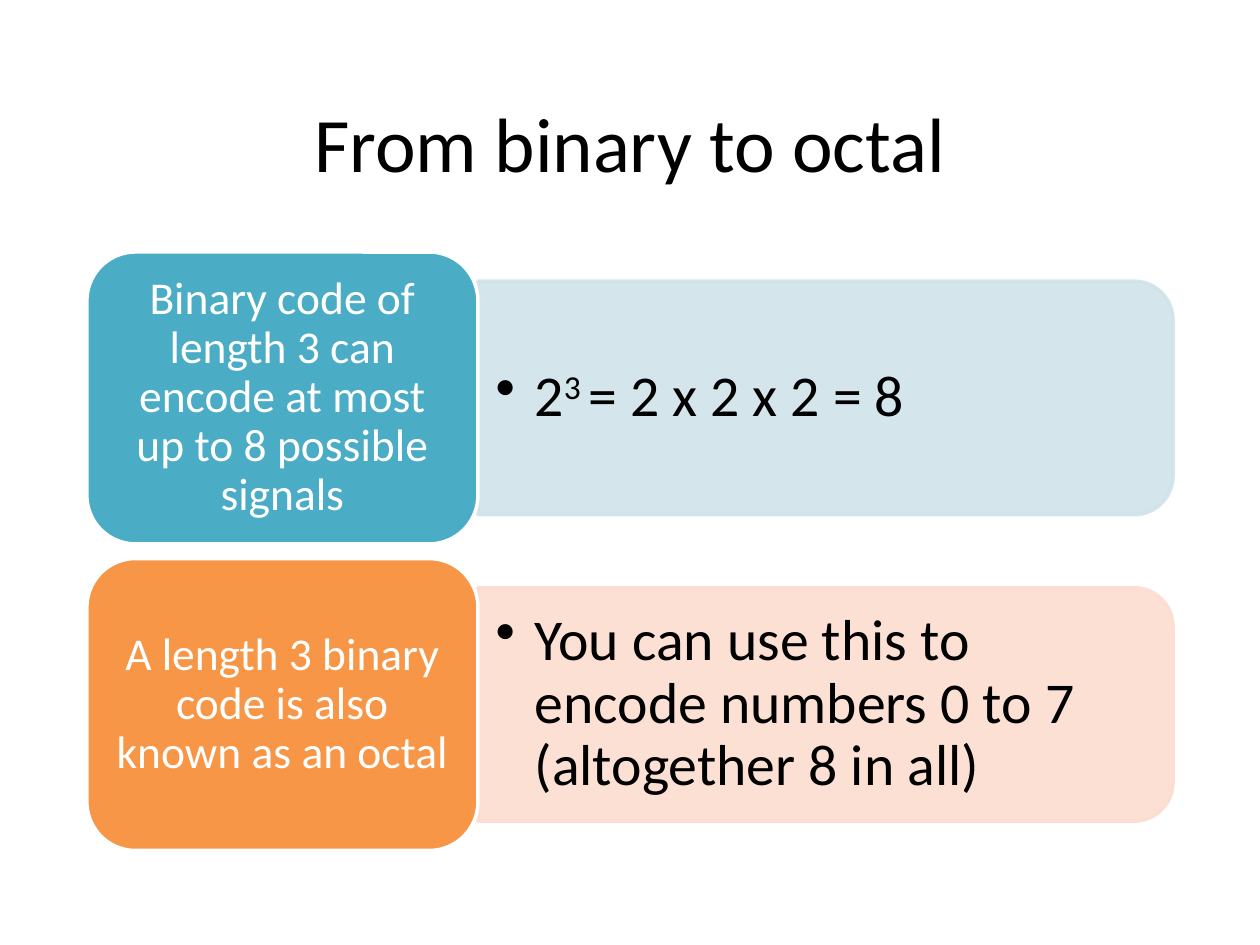
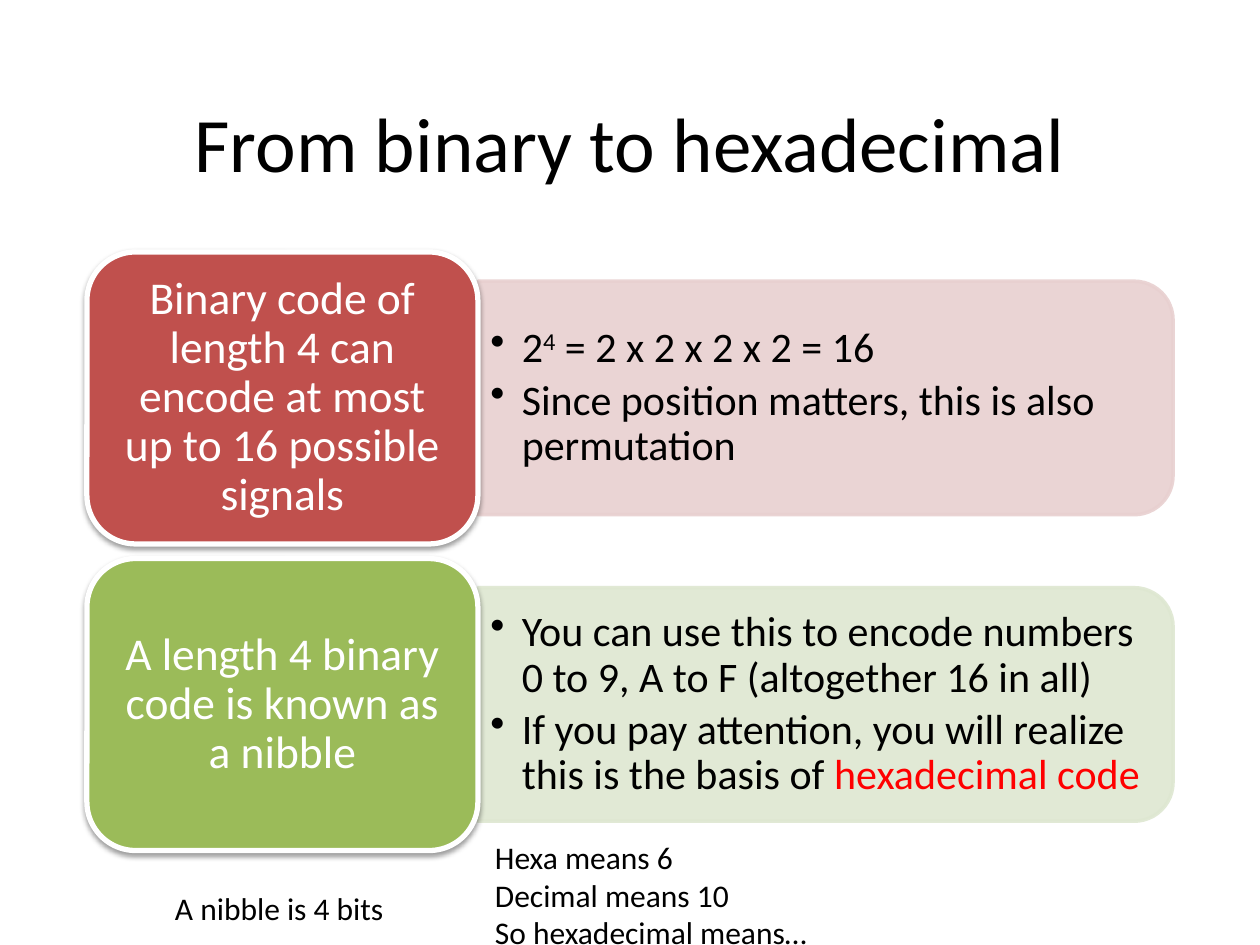
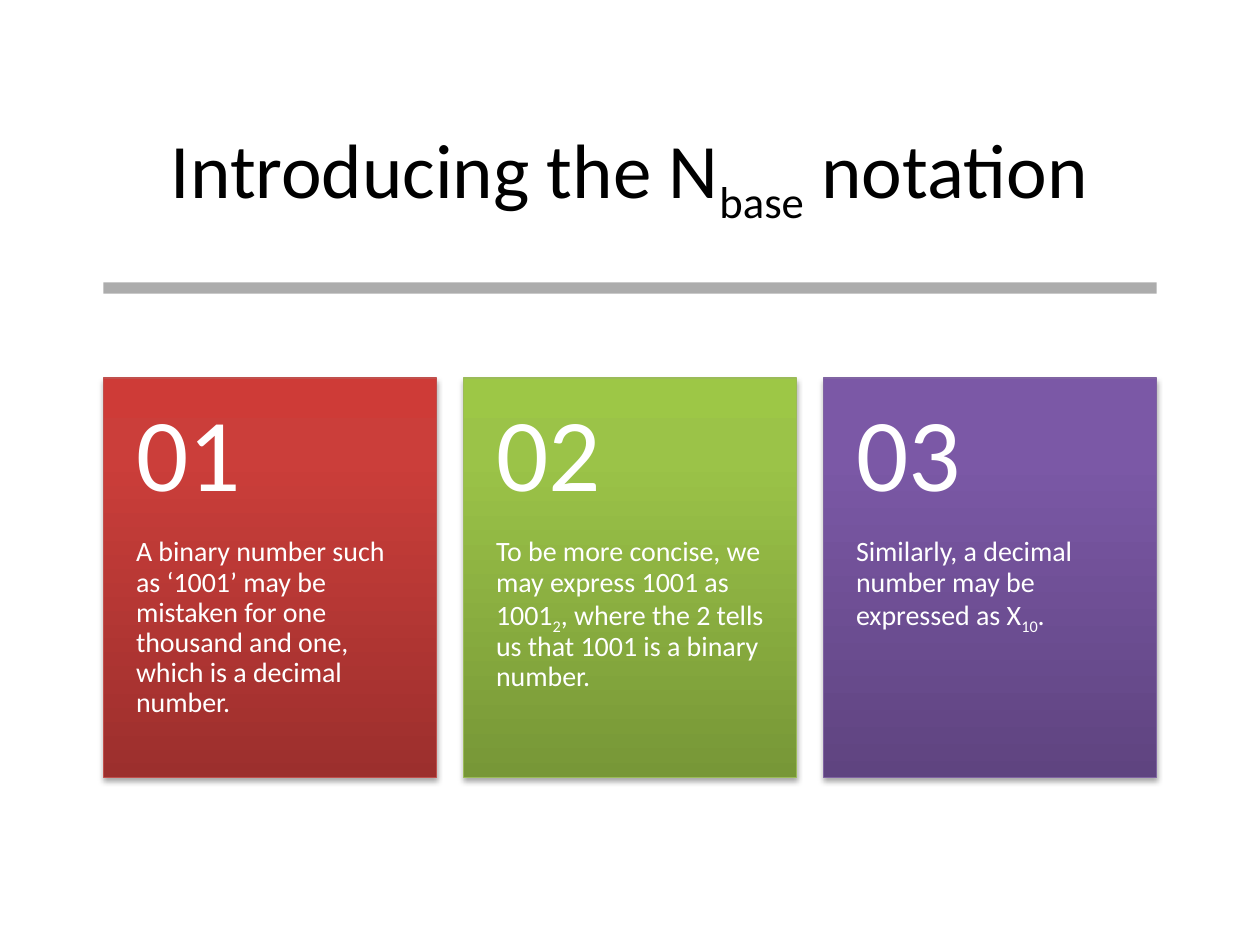
from copy import deepcopy
from dataclasses import dataclass

from lxml.etree import SubElement
from pptx import Presentation
from pptx.dml.color import RGBColor
from pptx.enum.shapes import MSO_SHAPE
from pptx.enum.text import MSO_ANCHOR, PP_ALIGN
from pptx.oxml.ns import qn
from pptx.util import Inches, Pt

FONT = "Calibri"
BLACK = RGBColor(0x00, 0x00, 0x00)
WHITE = RGBColor(0xFF, 0xFF, 0xFF)
GRAY = RGBColor(0x80, 0x80, 0x80)
BRIGHT_RED = RGBColor(0xFF, 0x00, 0x00)
AQUA = RGBColor(0x4B, 0xAC, 0xC6)
PALE_AQUA = RGBColor(0xD0, 0xE3, 0xEA)
ORANGE = RGBColor(0xF7, 0x96, 0x46)
PALE_ORANGE = RGBColor(0xFC, 0xDD, 0xCF)
RED = RGBColor(0xC0, 0x50, 0x4D)
PALE_RED = RGBColor(0xE8, 0xD0, 0xD0)
GREEN = RGBColor(0x9B, 0xBB, 0x59)
PALE_GREEN = RGBColor(0xDE, 0xE7, 0xD1)
PURPLE = RGBColor(0x80, 0x64, 0xA2)
RED_SHADES = (RGBColor(0x9C, 0x2F, 0x2D), RGBColor(0xCB, 0x3E, 0x3A), RGBColor(0xCE, 0x3B, 0x37))
GREEN_SHADES = (RGBColor(0x77, 0x97, 0x37), RGBColor(0x9B, 0xC3, 0x48), RGBColor(0x9D, 0xC7, 0x46))
PURPLE_SHADES = (RGBColor(0x5F, 0x44, 0x80), RGBColor(0x7B, 0x58, 0xA6), RGBColor(0x7C, 0x57, 0xA8))
SHADE_STOPS = (0, 0.8, 1)
SUPER, SUB = 30, -25
COLUMNS, ROWS = 100, 75
WIDTH, HEIGHT = 10, 7.5


@dataclass
class Box:
    """A rectangle in inches."""
    left: float
    top: float
    width: float
    height: float

    def inner(self, left, top, width, height):
        """Return an inner box given as shares of this one."""
        return Box(self.left + left * self.width, self.top + top * self.height,
                   width * self.width, height * self.height)

    def turned(self):
        """Return the box that covers this one after a quarter turn."""
        return Box(self.left + (self.width - self.height) / 2,
                   self.top + (self.height - self.width) / 2, self.height, self.width)

    def lengths(self):
        """Return left, top, width and height as slide lengths."""
        return [Inches(side) for side in (self.left, self.top, self.width, self.height)]


def grid(column, row, columns, rows):
    """Return the box that covers the given cells of the slide grid."""
    return Box(0, 0, WIDTH, HEIGHT).inner(column / COLUMNS, row / ROWS,
                                          columns / COLUMNS, rows / ROWS)


TITLE = grid(6.9, 4, 86.2, 14.5)
LIST = grid(6.9, 20, 86.2, 47.5)
CARDS = grid(8.2, 30, 83.6, 31.7)


def write(shape, paragraphs, size, color=BLACK, align=PP_ALIGN.LEFT, anchor=MSO_ANCHOR.TOP,
          insets=(0.1, 0.05, 0.1, 0.05), spacing=1.0, after=0, indent=0, wrap=True):
    """Fill a shape with paragraphs of (text, baseline, color) spans or plain strings."""
    frame = shape.text_frame
    frame.word_wrap = wrap
    frame.vertical_anchor = anchor
    frame.margin_left, frame.margin_top, frame.margin_right, frame.margin_bottom = map(Inches, insets)
    for number, spans in enumerate(paragraphs):
        para = frame.add_paragraph() if number else frame.paragraphs[0]
        para.alignment = align
        para.line_spacing = spacing
        para.space_after = Pt(after)
        if indent:
            add_bullet(para, indent)
        for text, baseline, tint in [(spans, 0, None)] if isinstance(spans, str) else spans:
            span = para.add_run()
            span.text = text
            span.font.name = FONT
            span.font.size = Pt(size)
            span.font.color.rgb = tint or color
            if baseline:
                span.font._element.set("baseline", str(baseline * 1000))


def add_bullet(para, indent):
    """Give a paragraph a round bullet and a hanging indent."""
    para.level = 1
    properties = para._p.get_or_add_pPr()
    properties.set("marL", str(Inches(indent)))
    properties.set("indent", str(-Inches(indent)))
    SubElement(properties, qn("a:buChar"), char="•")


def set_alpha(shape, percent):
    """Make every plain colour of a shape's fill and line partly transparent."""
    for color in shape._element.spPr.iter(qn("a:srgbClr")):
        SubElement(color, qn("a:alpha"), val=str(percent * 1000))


def add_shadow(shape, percent, distance):
    """Drop a soft black shadow straight below a shape."""
    effects = shape._element.spPr.find(qn("a:effectLst"))
    outer = SubElement(effects, qn("a:outerShdw"), blurRad=str(Pt(3.1)), dist=str(Pt(distance)),
                       dir="5400000", rotWithShape="0")
    color = SubElement(outer, qn("a:srgbClr"), val=str(BLACK))
    SubElement(color, qn("a:alpha"), val=str(percent * 1000))


def shade(shape, colors):
    """Fill a shape with a gradient that runs from bottom to top."""
    shape.fill.gradient()
    shape.fill.gradient_angle = 90
    stops = shape._element.spPr.find(".//" + qn("a:gsLst"))
    stops.append(deepcopy(stops[-1]))
    for stop, position, color in zip(shape.fill.gradient_stops, SHADE_STOPS, colors):
        stop.position = position
        stop.color.rgb = color


def add_block(page, kind, box, fill, line=None, weight=0):
    """Add a flat preset shape."""
    shape = page.shapes.add_shape(kind, *box.lengths())
    shape.shadow.inherit = False
    shape.fill.solid()
    shape.fill.fore_color.rgb = fill
    if line is None:
        shape.line.fill.background()
    else:
        shape.line.color.rgb = line
        shape.line.width = Pt(weight)
    return shape


def add_text(page, box, paragraphs, **format):
    """Add a text box."""
    write(page.shapes.add_textbox(*box.lengths()), paragraphs, **format)


def add_page(deck, title, box=TITLE):
    """Add a slide with a centred title."""
    page = deck.slides.add_slide(deck.slide_layouts[5])
    holder = page.shapes.title
    holder.left, holder.top, holder.width, holder.height = box.lengths()
    write(holder, [title], size=44, align=PP_ALIGN.CENTER, anchor=MSO_ANCHOR.MIDDLE)
    return page


def add_list_row(page, box, label, points, color, pale, raised, **format):
    """Add a rounded label with a pale panel of bullets to its right."""
    panel_box = box.inner(0.36, 0.1, 0.64, 0.8)
    panel = add_block(page, MSO_SHAPE.ROUND_2_SAME_RECTANGLE, panel_box.turned(), pale, pale, 2)
    panel.rotation = 90
    set_alpha(panel, 90)
    add_text(page, panel_box.inner(0, 0.05, 0.98, 0.9), points, anchor=MSO_ANCHOR.MIDDLE,
             spacing=0.9, after=4, **format)
    tile = add_block(page, MSO_SHAPE.ROUNDED_RECTANGLE, box.inner(0, 0, 0.36, 1), color,
                     WHITE, 3 if raised else 2)
    if raised:
        add_shadow(tile, 38, 1.6)
    write(tile, [label], size=26, color=WHITE, align=PP_ALIGN.CENTER, anchor=MSO_ANCHOR.MIDDLE,
          insets=(0.11, 0.05, 0.11, 0.05), spacing=0.9)


def add_list(page, box, rows, raised=False, gap=0.05, **format):
    """Stack list rows in a box with equal gaps."""
    share = 1 / (len(rows) + gap * (len(rows) - 1))
    for number, row in enumerate(rows):
        add_list_row(page, box.inner(0, number * share * (1 + gap), 1, share), *row, raised, **format)


def add_card(page, box, number, text, edge, shades):
    """Add a shaded card with a large number above its text."""
    card = add_block(page, MSO_SHAPE.RECTANGLE, box, edge, edge, 0.75)
    shade(card, shades)
    add_shadow(card, 35, 1.8)
    write(card, [text], size=16, color=WHITE, spacing=0.9,
          insets=(0.26, 0.4 * box.height, 0.26, 0.36))
    add_text(page, box.inner(0, 0, 1, 0.4), [f"{number:02}"], size=59, color=WHITE, spacing=0.9,
             anchor=MSO_ANCHOR.MIDDLE, insets=(0.26, 0.18, 0.26, 0.18))


def add_cards(page, box, cards, gap=0.08):
    """Set cards side by side in a box with equal gaps."""
    share = 1 / (len(cards) + gap * (len(cards) - 1))
    for number, card in enumerate(cards):
        add_card(page, box.inner(number * share * (1 + gap), 0, share, 1), number + 1, *card)


def build_octal(deck):
    """Build the octal slide."""
    page = add_page(deck, "From binary to octal")
    add_list(page, LIST, [
        ("Binary code of length 3 can encode at most up to 8 possible signals",
         [[("2", 0, None), ("3 ", SUPER, None), ("= 2 x 2 x 2 = 8", 0, None)]], AQUA, PALE_AQUA),
        ("A length 3 binary code is also known as an octal",
         ["You can use this to encode numbers 0 to 7 (altogether 8 in all)"], ORANGE, PALE_ORANGE),
    ], size=33, indent=0.31, insets=(0.14, 0.07, 0.14, 0.07))


def build_hexadecimal(deck):
    """Build the hexadecimal slide with its notes below the list."""
    page = add_page(deck, "From binary to hexadecimal")
    add_list(page, LIST, [
        ("Binary code of length 4 can encode at most up to 16 possible signals",
         [[("2", 0, None), ("4", SUPER, None), (" = 2 x 2 x 2 x 2 = 16", 0, None)],
          "Since position matters, this is also permutation"], RED, PALE_RED),
        ("A length 4 binary code is known as a nibble",
         ["You can use this to encode numbers 0 to 9, A to F (altogether 16 in all)",
          [("If you pay attention, you will realize this is the basis of ", 0, None),
           ("hexadecimal code", 0, BRIGHT_RED)]], GREEN, PALE_GREEN),
    ], raised=True, size=24, indent=0.25)
    add_text(page, grid(38.3, 66, 40.8, 10.1),
             ["Hexa means 6", "Decimal means 10", "So hexadecimal means…"], size=18)
    add_text(page, grid(12.9, 70.1, 18.8, 4), ["A nibble is 4 bits"], size=18, wrap=False)


def build_notation(deck):
    """Build the notation slide with its rule and cards."""
    page = add_page(deck, [("Introducing the N", 0, None), ("base", SUB, None),
                           (" notation", 0, None)], grid(7.1, 6.6, 85.7, 14.5))
    rule = add_block(page, MSO_SHAPE.RECTANGLE, grid(8.2, 22.4, 83.6, 0.9), GRAY)
    set_alpha(rule, 65)
    add_cards(page, CARDS, [
        ("A binary number such as ‘1001’ may be mistaken for one thousand and one, "
         "which is a decimal number.", RED, RED_SHADES),
        ([("To be more concise, we may express 1001 as 1001", 0, None), ("2", SUB, None),
          (", where the 2 tells us that 1001 is a binary number.", 0, None)], GREEN, GREEN_SHADES),
        ([("Similarly, a decimal number may be expressed as X", 0, None), ("10", SUB, None),
          (".", 0, None)], PURPLE, PURPLE_SHADES),
    ])


def main():
    """Build and save the deck."""
    deck = Presentation()
    deck.slide_width, deck.slide_height = Inches(WIDTH), Inches(HEIGHT)
    build_octal(deck)
    build_hexadecimal(deck)
    build_notation(deck)
    deck.save("out.pptx")


if __name__ == "__main__":
    main()
